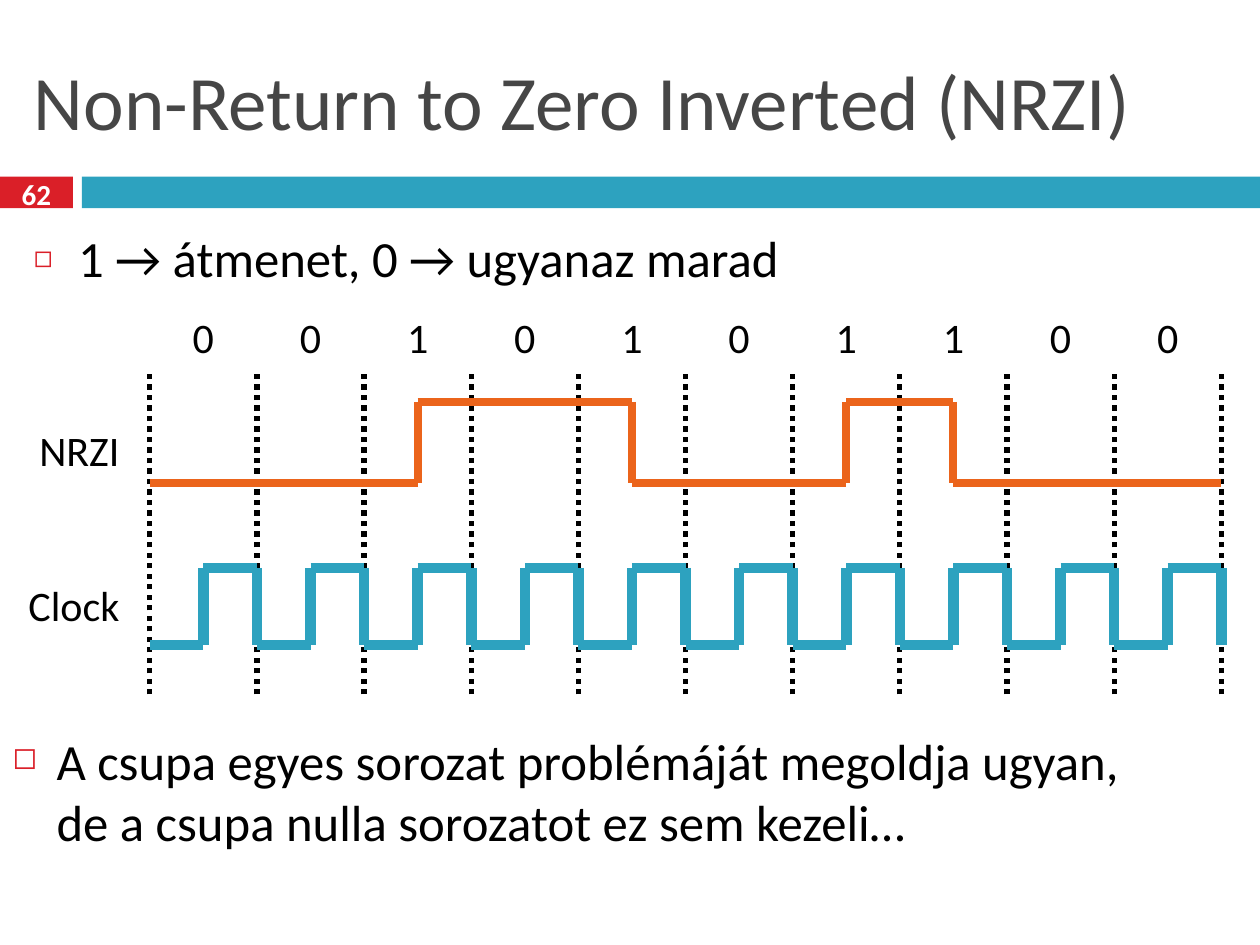
from collections import namedtuple
from dataclasses import dataclass
from itertools import pairwise

from lxml import etree
from pptx import Presentation
from pptx import util as u
from pptx.dml.color import RGBColor
from pptx.enum import dml, shapes, text
from pptx.oxml.ns import qn

Box = namedtuple("Box", "left top width height")


@dataclass(frozen=True)
class Theme:
    font: str = "Calibri"
    heading: str = "464646"
    ink: str = "000000"
    paper: str = "FFFFFF"
    accent: str = "DA1F28"
    clock: str = "2DA2BF"
    nrzi: str = "EB641B"
    title_size: float = 44
    body_size: float = 29
    label_size: float = 24
    number_size: float = 16.6


THEME = Theme()
BITS = "0010101100"


def place(shape, box):
    shape.left, shape.top, shape.width, shape.height = map(u.Cm, box)


def write(shape, wording, size, color, align=text.PP_ALIGN.LEFT,
          anchor=text.MSO_ANCHOR.TOP, wrap=True, bold=False):
    frame = shape.text_frame
    frame.text = wording
    frame.word_wrap = wrap
    frame.auto_size = text.MSO_AUTO_SIZE.NONE
    frame.vertical_anchor = anchor
    for paragraph in frame.paragraphs:
        paragraph.alignment = align
        paragraph.space_before = u.Pt(0)
        for run in paragraph.runs:
            run.font.name = THEME.font
            run.font.size = u.Pt(size)
            run.font.bold = bold
            run.font.color.rgb = RGBColor.from_string(color)


def add_label(slide, box, wording, **style):
    label = slide.shapes.add_textbox(*map(u.Cm, box))
    write(label, wording, THEME.label_size, THEME.ink, wrap=False, **style)


def add_line(slide, start, end, color, width, dash=None):
    line = slide.shapes.add_connector(
        shapes.MSO_CONNECTOR.STRAIGHT, *map(u.Cm, (*start, *end)))
    line.line.color.rgb = RGBColor.from_string(color)
    line.line.width = u.Pt(width)
    if dash:
        line.line.dash_style = dash
    etree.SubElement(line._element.spPr, qn("a:effectLst"))


def header(slide, box, title, number):
    """Title above a band that starts with the slide number."""
    place(slide.shapes.title,
          Box(box.left + 0.43, box.top + 0.64, box.width - 0.84, 2.74))
    write(slide.shapes.title, title, THEME.title_size, THEME.heading,
          anchor=text.MSO_ANCHOR.MIDDLE)
    tab_width, band_left, band_top = 1.47, 1.65, box.top + 3.56
    for left, width, color in ((0, tab_width, THEME.accent),
                               (band_left, box.width - band_left, THEME.clock)):
        band = slide.shapes.add_shape(
            shapes.MSO_SHAPE.RECTANGLE,
            *map(u.Cm, (box.left + left, band_top, width, 0.64)))
        band.shadow.inherit = False
        band.fill.solid()
        band.fill.fore_color.rgb = RGBColor.from_string(color)
        band.line.fill.background()
    page = slide.shapes.add_textbox(
        *map(u.Cm, (box.left, band_top - 0.08, tab_width, 0.84)))
    write(page, number, THEME.number_size, THEME.paper, text.PP_ALIGN.CENTER,
          text.MSO_ANCHOR.MIDDLE, bold=True)


def bullet_list(shape, box, wording):
    place(shape, box)
    write(shape, wording, THEME.body_size, THEME.ink)
    for paragraph in shape.text_frame.paragraphs:
        properties = paragraph._p.get_or_add_pPr()
        properties.set("marL", str(u.Cm(0.89)))
        properties.set("indent", str(-u.Cm(0.89)))
        color = etree.SubElement(properties, qn("a:buClr"))
        etree.SubElement(color, qn("a:srgbClr"), val=THEME.accent)
        etree.SubElement(properties, qn("a:buSzPct"), val="60000")
        etree.SubElement(properties, qn("a:buChar"), char="◻")


def nrzi_points(left, cell, high, low):
    """Each 1 toggles the level in the middle of its cell."""
    level, other = low, high
    points = [(left, level)]
    for i, bit in enumerate(BITS):
        if bit == "1":
            middle = left + (i + 0.5) * cell
            points += [(middle, level), (middle, other)]
            level, other = other, level
    return points + [(left + len(BITS) * cell, level)]


def clock_points(left, cell, high, low):
    """Each cell is low in its first half and high in its second."""
    points = [(left, low)]
    for i in range(len(BITS)):
        middle, end = left + (i + 0.5) * cell, left + (i + 1) * cell
        points += [(middle, low), (middle, high), (end, high), (end, low)]
    return points


def timing_diagram(slide, box):
    gutter, digit_width, label_height = 2.72, 0.99, 1.27
    left = box.left + gutter
    cell = (box.width - gutter) / len(BITS)
    for i in range(len(BITS) + 1):
        x = left + i * cell
        add_line(slide, (x, box.top + box.height), (x, box.top + 1.29),
                 THEME.ink, 3, dml.MSO_LINE.ROUND_DOT)

    traces = (
        ("Clock", 2.36, 5.41, clock_points, 5.3, 6.85, THEME.clock, 6),
        ("NRZI", 2.13, 2.28, nrzi_points, 1.95, 3.58, THEME.nrzi, 4.5),
    )
    for name, name_width, name_top, outline, high, low, color, width in traces:
        points = outline(left, cell, box.top + high, box.top + low)
        for start, end in pairwise(points):
            add_line(slide, start, end, color, width)
        add_label(slide, Box(box.left + 2.36 - name_width, box.top + name_top,
                             name_width, label_height),
                  name, align=text.PP_ALIGN.RIGHT)

    for i, bit in enumerate(BITS):
        digit_left = left + (i + 0.5) * cell - digit_width / 2
        add_label(slide, Box(digit_left, box.top, digit_width, label_height),
                  bit, align=text.PP_ALIGN.CENTER)


def main():
    deck = Presentation()
    deck.slide_width, deck.slide_height = u.Cm(25.4), u.Cm(19.05)
    slide = deck.slides.add_slide(deck.slide_layouts[1])

    header(slide, Box(0, 0, 25.4, 4.2), "Non-Return to Zero Inverted (NRZI)", "62")
    bullet_list(slide.placeholders[1], Box(0.43, 4.45, 24.56, 1.7),
                "1 → átmenet, 0 → ugyanaz marad")
    timing_diagram(slide, Box(0.3, 6.15, 24.32, 7.85))
    bullet_list(slide.shapes.add_textbox(0, 0, 0, 0), Box(0, 14.58, 25.4, 3.35),
                "A csupa egyes sorozat problémáját megoldja ugyan, \v"
                "de a csupa nulla sorozatot ez sem kezeli…")
    deck.save("out.pptx")


if __name__ == "__main__":
    main()
